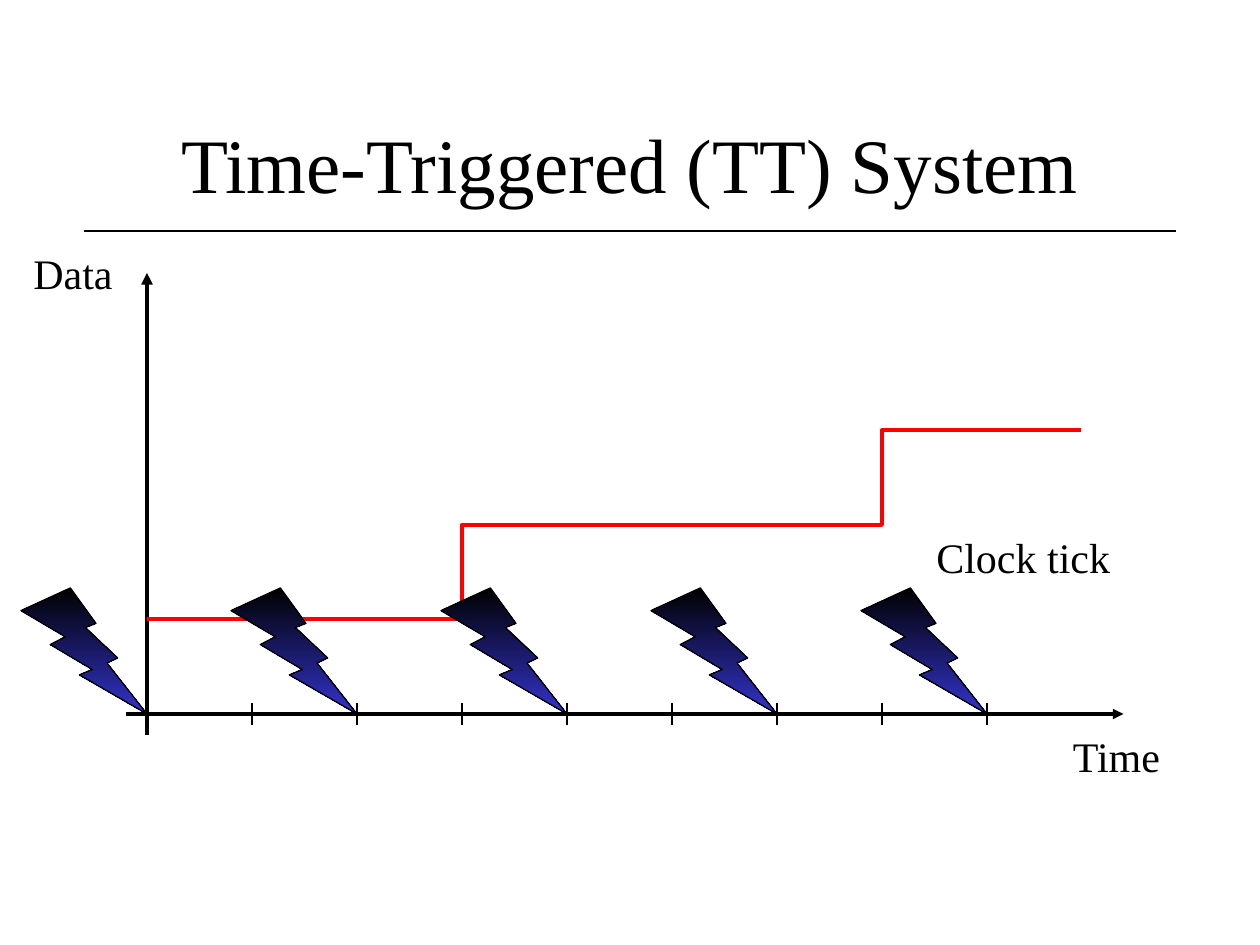
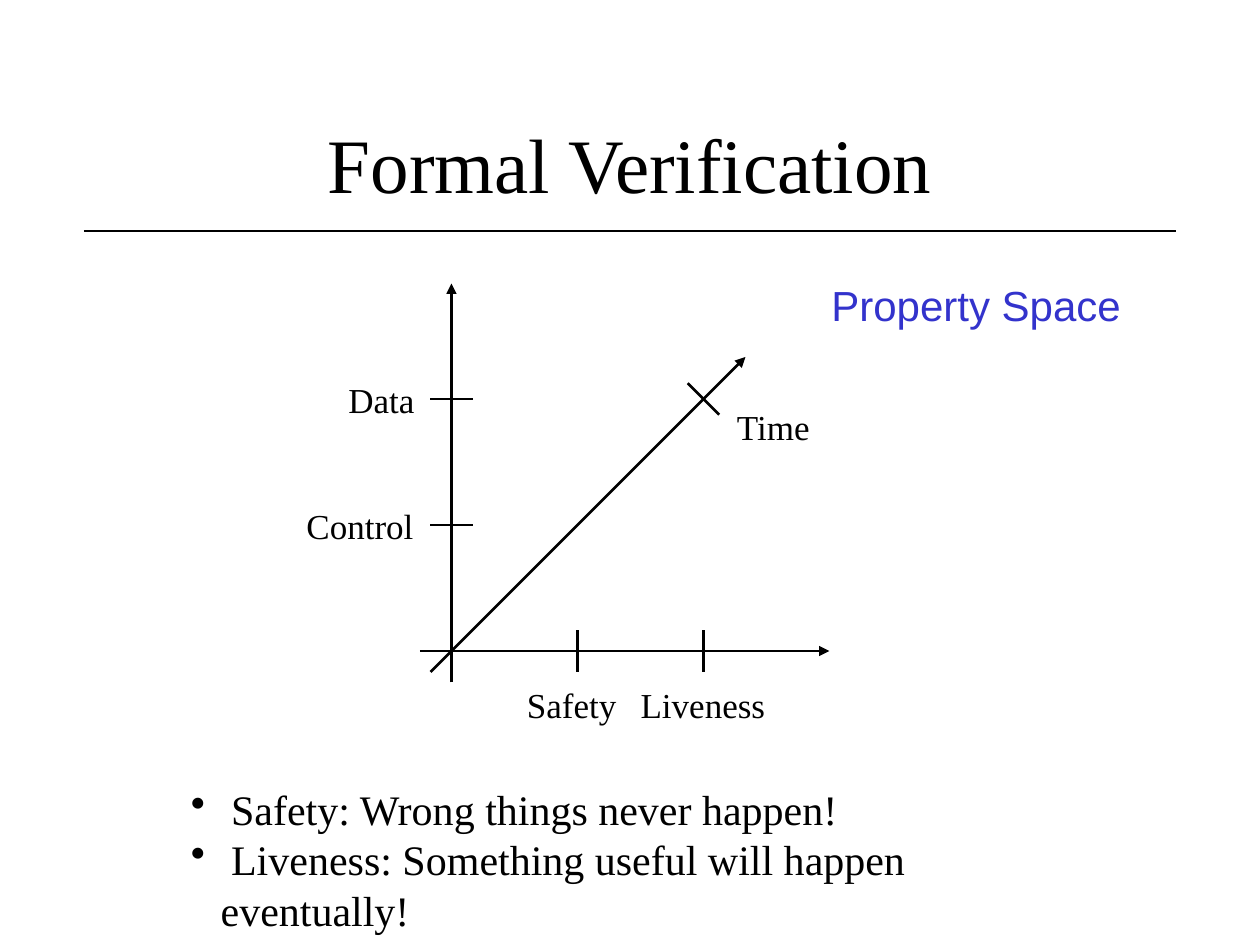
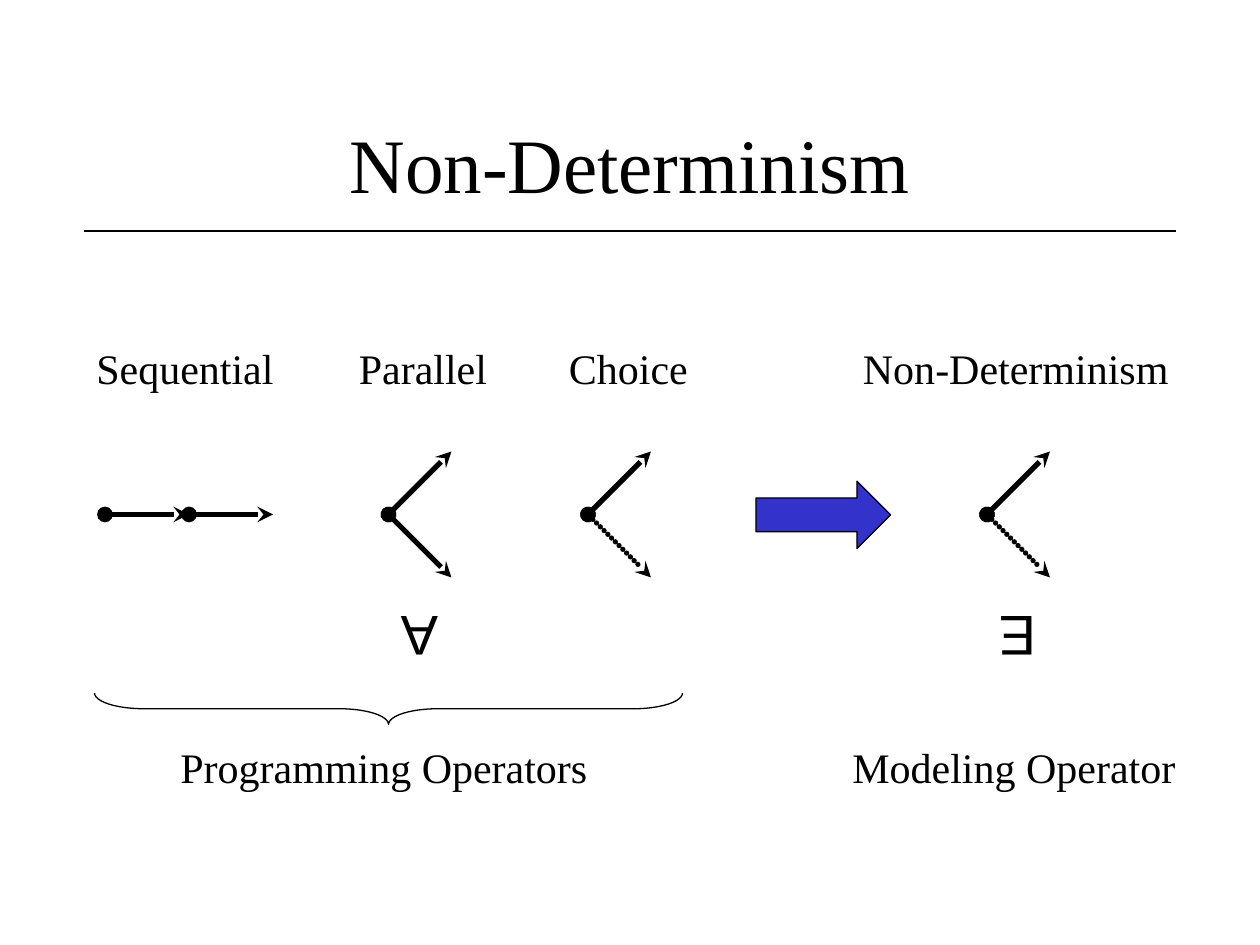
import dataclasses
import pptx
import pptx.dml.color
import pptx.enum.dml
import pptx.enum.shapes
import pptx.enum.text
import pptx.oxml.ns
import pptx.util
import lxml.etree

Pt = pptx.util.Pt
Shape = pptx.enum.shapes.MSO_SHAPE
Align = pptx.enum.text.PP_ALIGN
qn = pptx.oxml.ns.qn


@dataclasses.dataclass(frozen=True)
class Theme:
    ink: str = "000000"
    blue: str = "3333CC"
    red: str = "FF0000"
    serif: str = "Times New Roman"
    sans: str = "Arial"
    title: int = 44
    sign: int = 32
    body: int = 24
    small: int = 20
    thin: float = 0.75
    tick: float = 1.5
    bold: float = 2.25
    thick: float = 3


theme = Theme()


def color(code):
    return pptx.dml.color.RGBColor.from_string(code)


def add_tag(parent, name, **attrs):
    return lxml.etree.SubElement(parent, qn(name), **attrs)


def write(slide, text, box, size=theme.body, font=theme.serif, ink=theme.ink,
          align=Align.LEFT, middle=False, wrap=False, grow=True, hang=0, turn=0):
    shape = slide.shapes.add_textbox(*map(Pt, box))
    shape.rotation = turn
    frame = shape.text_frame
    frame.word_wrap = wrap
    sizes = pptx.enum.text.MSO_AUTO_SIZE
    frame.auto_size = sizes.SHAPE_TO_FIT_TEXT if grow else sizes.NONE
    if middle:
        frame.vertical_anchor = pptx.enum.text.MSO_ANCHOR.MIDDLE
    frame.text = text
    for para in frame.paragraphs:
        para.alignment = align
        if hang:
            props = para._p.get_or_add_pPr()
            props.set("marL", str(Pt(hang)))
            props.set("indent", str(-Pt(hang)))
            add_tag(props, "a:buChar", char="•")
        para.font.size = Pt(size)
        para.font.name = font
        para.font.color.rgb = color(ink)


def rule(slide, start, end, width=theme.tick, head=None, tail=None, dots=False):
    line = slide.shapes.add_connector(
        pptx.enum.shapes.MSO_CONNECTOR.STRAIGHT, *map(Pt, (*start, *end)))
    line.line.color.rgb = color(theme.ink)
    line.line.width = Pt(width)
    props = line.line._get_or_add_ln()
    if dots:
        props.set("cap", "rnd")
        add_tag(add_tag(props, "a:custDash"), "a:ds", d="100000", sp="1000")
    for name, kind in (("a:headEnd", head), ("a:tailEnd", tail)):
        if kind:
            add_tag(props, name, type=kind)
    add_tag(line._element.spPr, "a:effectLst")


def form(slide, kind, box):
    shape = slide.shapes.add_shape(kind, *map(Pt, box))
    shape.shadow.inherit = False
    shape.line.color.rgb = color(theme.ink)
    shape.line.width = Pt(theme.thin)
    return shape


def head(slide, text, box):
    x, y, w, h = box
    write(slide, text, box, size=theme.title, align=Align.CENTER,
          middle=True, wrap=True, grow=False)
    rule(slide, (x - 6, y + h - 6), (x + w + 6, y + h - 6), theme.thin)


def bolt(slide, box):
    shape = form(slide, Shape.LIGHTNING_BOLT, box)
    shape.fill.gradient()
    shape.fill.gradient_angle = 270
    for stop, place, code in zip(shape.fill.gradient_stops, (0, 1),
                                 (theme.ink, theme.blue)):
        stop.position = place
        stop.color.rgb = color(code)


def steps(slide, spots):
    build = slide.shapes.build_freeform(*map(Pt, spots[0]), scale=1.0)
    build.add_line_segments([tuple(map(Pt, spot)) for spot in spots[1:]], close=False)
    shape = build.convert_to_shape()
    shape.shadow.inherit = False
    shape.fill.background()
    shape.line.color.rgb = color(theme.red)
    shape.line.width = Pt(theme.bold)


def clock(slide, box):
    x, y, w, h = box
    base, gap = y + h, 60
    rule(slide, (x - 12, base), (x + w, base), 2, tail="triangle")
    rule(slide, (x, base + 12), (x, y), theme.bold, tail="triangle")
    write(slide, "Time", (x + w - 36, base + 6, 65, 36))
    write(slide, "Data", (x - 72, y - 18, 60, 36))
    for i in range(9):
        rule(slide, (x + i * gap, base - 6), (x + i * gap, base + 6))
    low, mid, high = (base - 54 * i for i in (1, 2, 3))
    one, two = x + 3 * gap, x + 7 * gap
    steps(slide, [(x, low), (one, low), (one, mid), (two, mid),
                  (two, high), (x + 534, high)])
    write(slide, "Clock tick", (x + 444, base - 108, 114, 36))
    for i in range(5):
        bolt(slide, (x - 72 + 2 * gap * i, base - 72, 72, 72))


def space(slide, box):
    x, y, w, h = box
    base, gap = y + h, 72
    rule(slide, (x - 18, base), (x + w, base), tail="triangle")
    rule(slide, (x, base + 18), (x, y), tail="triangle")
    rule(slide, (x - 12, base + 12), (x + 168, base - 168), tail="triangle")
    for i, (name, left, wide) in enumerate(
            (("Control", -90, 76), ("Data", -66, 52)), 1):
        level = base - gap * i
        rule(slide, (x - 12, level), (x + 12, level))
        write(slide, name, (x + left, level - 15.5, wide, 32), size=theme.small)
    for i, (name, left, wide) in enumerate(
            (("Safety", 36, 66), ("Liveness", 101, 86)), 1):
        place = x + gap * i
        rule(slide, (place, base + 12), (place, base - 12))
        write(slide, name, (x + left, base + 15, wide, 32), size=theme.small)
    rule(slide, (x + 135, base - 153), (x + 153, base - 135))
    write(slide, "Time", (x + 156, base - 144, 57, 32), size=theme.small)


def fork(slide, box, dots=False):
    x, y, w, h = box
    for tip, dash in ((y, False), (y + h, dots)):
        rule(slide, (x, y + h / 2), (x + w, tip), theme.thick,
             "oval", "stealth", dash)


def chain(slide, box, count=2):
    x, y, w, h = box
    gap = w / count
    for i in range(count):
        rule(slide, (x + i * gap, y + h / 2), (x + (i + 1) * gap, y + h / 2),
             theme.thick, "oval", "stealth")


def brace(slide, box):
    x, y, w, h = box
    shape = form(slide, Shape.RIGHT_BRACE,
                 (x + (w - h) / 2, y + (h - w) / 2, h, w))
    shape.rotation = 90
    shape.adjustments[0] = 1.56
    shape.fill.background()


def choice(slide, box):
    x, y, w, h = box
    for name, left, wide in (("Sequential", 0, 117), ("Parallel", 150, 89),
                             ("Choice", 270, 84), ("Non-Determinism", 438, 190)):
        write(slide, name, (x + left, y, wide, 36))
    row = y + 66
    chain(slide, (x + 12, row, 96, 72))
    for left, dots in ((174, False), (288, True), (516, True)):
        fork(slide, (x + left, row, 36, 72), dots)
    for sign, left in (("A", 174.5), ("E", 516.5)):
        write(slide, sign, (x + left, y + 150, 35, 46), size=theme.sign,
              font=theme.sans, turn=180)
    brace(slide, (x + 6, y + 204, 336, 18))
    for name, left, wide in (("Programming Operators", 48, 248),
                             ("Modeling Operator", 432, 200)):
        write(slide, name, (x + left, y + h - 36, wide, 36))
    arrow = form(slide, Shape.RIGHT_ARROW, (x + 384, y + 83, 77, 38.5))
    arrow.fill.solid()
    arrow.fill.fore_color.rgb = color(theme.blue)


def main():
    deck = pptx.Presentation()
    deck.slide_width, deck.slide_height = Pt(720), Pt(540)
    slides = []
    for text in ("Time-Triggered (TT) System", "Formal Verification",
                 "Non-Determinism"):
        slide = deck.slides.add_slide(deck.slide_layouts[6])
        head(slide, text, (54, 48, 612, 90))
        slides.append(slide)
    timed, formal, free = slides
    clock(timed, (84, 156, 558, 252))
    space(formal, (258, 162, 216, 210))
    write(formal, " Safety: Wrong things never happen!\n"
          " Liveness: Something useful will happen eventually!",
          (102, 444, 528, 65), wrap=True, hang=17)
    write(formal, "Property Space", (468, 156, 180, 36),
          font=theme.sans, ink=theme.blue)
    choice(free, (48, 192, 631, 264))
    deck.save("out.pptx")


if __name__ == "__main__":
    main()
